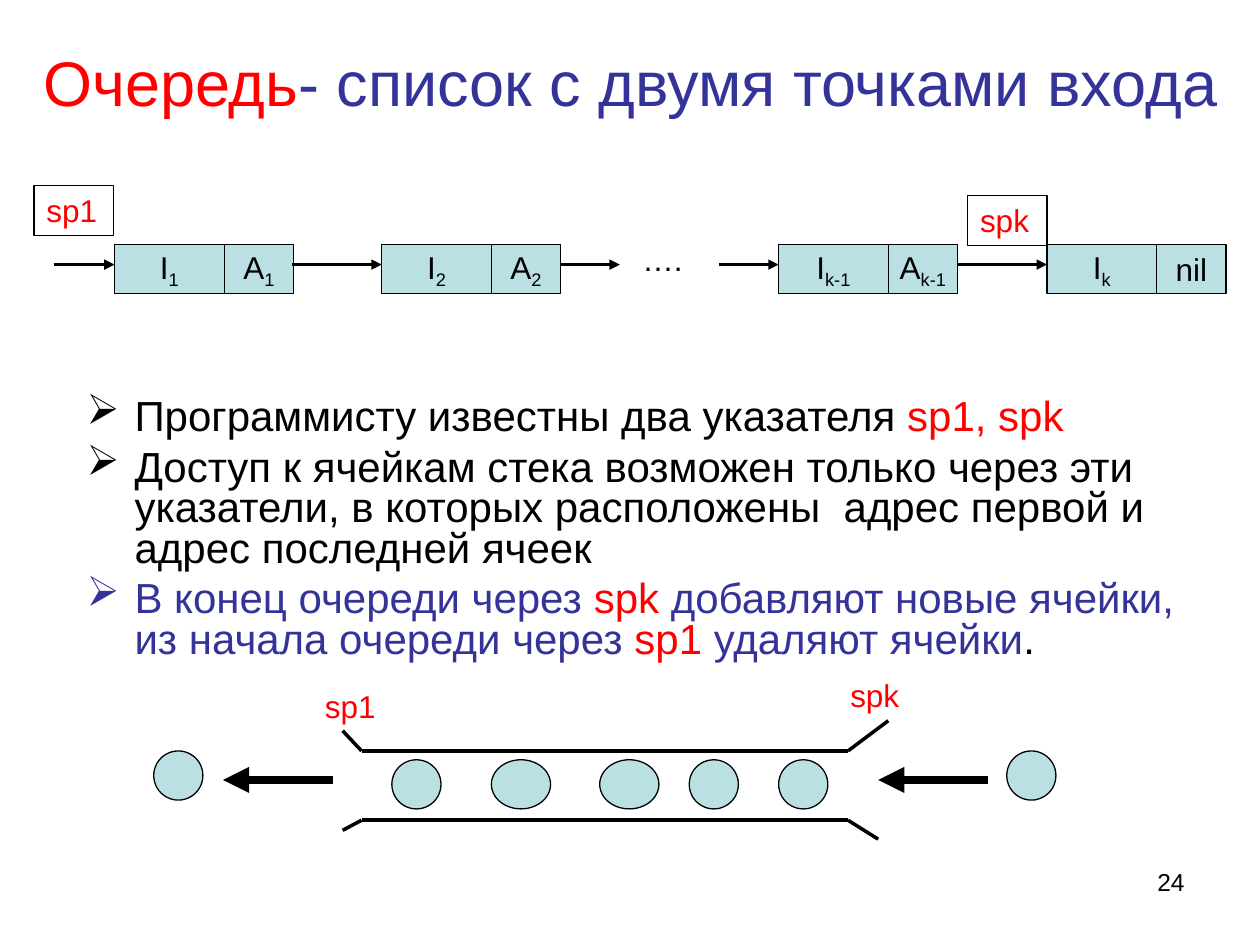
from lxml import etree
from pptx import Presentation
from pptx.dml.color import RGBColor
from pptx.enum.shapes import MSO_CONNECTOR, MSO_SHAPE
from pptx.enum.text import MSO_ANCHOR, PP_ALIGN
from pptx.oxml.ns import qn
from pptx.util import Inches, Pt

STRAIGHT = MSO_CONNECTOR.STRAIGHT
RECT, OVAL = MSO_SHAPE.RECTANGLE, MSO_SHAPE.OVAL
TOP, MIDDLE = MSO_ANCHOR.TOP, MSO_ANCHOR.MIDDLE
LEFT, CENTER, RIGHT = PP_ALIGN.LEFT, PP_ALIGN.CENTER, PP_ALIGN.RIGHT

FONT = "Arial"
BLACK, RED, BLUE, AQUA = "000000", "FF0000", "333399", "BBE0E3"


def rgb(color):
    return RGBColor.from_string(color)


def add_run(paragraph, text, size, color=BLACK, subscript=False):
    run = paragraph.add_run()
    run.text = text
    run.font.name = FONT
    run.font.size = Pt(size)
    run.font.color.rgb = rgb(color)
    if subscript:
        run._r.get_or_add_rPr().set("baseline", "-25000")


def add_text(slide, box, runs, size, align=LEFT, anchor=TOP):
    frame = slide.shapes.add_textbox(*map(Inches, box)).text_frame
    frame.word_wrap = True
    frame.vertical_anchor = anchor
    paragraph = frame.paragraphs[0]
    paragraph.alignment = align
    for text, color in runs:
        add_run(paragraph, text, size, color)


def add_outlined(slide, kind, box, fill=None):
    shape = slide.shapes.add_shape(kind, *map(Inches, box))
    shape.shadow.inherit = False
    if fill:
        shape.fill.solid()
        shape.fill.fore_color.rgb = rgb(fill)
    else:
        shape.fill.background()
    shape.line.color.rgb = rgb(BLACK)
    shape.line.width = Pt(0.75)
    return shape


def add_line(slide, start, end, width, arrow=False):
    line = slide.shapes.add_connector(STRAIGHT, *map(Inches, start + end))
    line.line.color.rgb = rgb(BLACK)
    line.line.width = Pt(width)
    properties = line._element.spPr
    if arrow:
        head = etree.SubElement(properties.find(qn("a:ln")), qn("a:tailEnd"))
        head.set("type", "triangle")
    etree.SubElement(properties, qn("a:effectLst"))


def add_cell(slide, box, runs):
    cell = add_outlined(slide, RECT, box, AQUA)
    frame = cell.text_frame
    frame.word_wrap = False
    frame.vertical_anchor = MIDDLE
    paragraph = frame.paragraphs[0]
    paragraph.alignment = CENTER
    for index, text in enumerate(runs):
        add_run(paragraph, text, 18, subscript=index > 0)


def add_pointer(slide, left, top, name, framed=False):
    box = (left, top, 0.63, 0.4)
    if framed:
        add_outlined(slide, RECT, box)
    add_text(slide, box, [(name, RED)], 18)


def add_linked_list(slide, left, top):
    info_width, link_width, height = 0.87, 0.55, 0.39
    arrow_y = top + 0.16
    nodes = [
        (0.48, 0.48, ("I", "1"), ("A", "1")),
        (2.6, 0.71, ("I", "2"), ("A", "2")),
        (5.75, 0.47, ("I", "k-1"), ("A", "k-1")),
        (7.88, 0.71, ("I", "k"), ("nil",)),
    ]
    for offset, arrow, info, link in nodes:
        x = left + offset
        add_line(slide, (x - arrow, arrow_y), (x, arrow_y), 1.5, True)
        add_cell(slide, (x, top, info_width, height), info)
        add_cell(slide, (x + info_width, top, link_width, height), link)

    # Gap in the chain
    add_line(slide, (left + 4.02, arrow_y), (left + 4.49, arrow_y), 1.5, True)
    add_text(slide, (left + 4.57, top - 0.08, 0.71, 0.4), [("….", BLACK)], 18)

    # Entry points
    add_pointer(slide, left - 0.16, top - 0.47, "sp1", framed=True)
    add_pointer(slide, left + 7.25, top - 0.39, "spk", framed=True)


def add_bullets(slide, box):
    items = [
        [("Программисту известны два указателя ", BLACK), ("sp1, spk", RED)],
        [("Доступ к ячейкам стека возможен только через эти указатели, "
          "в которых расположены  адрес первой и адрес последней ячеек", BLACK)],
        [("В конец очереди через ", BLUE), ("spk ", RED),
         ("добавляют новые ячейки, из начала очереди через ", BLUE),
         ("sp1", RED), (" удаляют ячейки", BLUE), (".", BLACK)],
    ]
    frame = slide.shapes.add_textbox(*map(Inches, box)).text_frame
    frame.word_wrap = True
    for index, runs in enumerate(items):
        paragraph = frame.add_paragraph() if index else frame.paragraphs[0]
        properties = paragraph._p.get_or_add_pPr()
        properties.set("marL", str(Inches(0.38)))
        properties.set("indent", str(Inches(-0.38)))
        bullet_color = etree.SubElement(properties, qn("a:buClr"))
        etree.SubElement(bullet_color, qn("a:srgbClr")).set("val", runs[0][1])
        etree.SubElement(properties, qn("a:buChar")).set("char", "➢")
        paragraph.line_spacing = 0.8
        if index:
            paragraph.space_before = Pt(6)
        for text, color in runs:
            add_run(paragraph, text, 24, color)


def add_queue(slide, left, top, width, height):
    right, bottom = left + width, top + height
    # Channel walls with flared ends
    walls = [
        (top, (left - 0.15, top - 0.16), (right + 0.32, top - 0.24)),
        (bottom, (left - 0.15, bottom + 0.08), (right + 0.24, bottom + 0.15)),
    ]
    for y, exit_end, entry_end in walls:
        add_line(slide, (left, y), (right, y), 2)
        add_line(slide, (left, y), exit_end, 2)
        add_line(slide, (right, y), entry_end, 2)

    # Elements inside, then one leaving and one arriving
    size = 0.39
    for offset, item_width in [(0.24, size), (1.03, 0.47), (1.89, 0.47),
                               (2.6, size), (3.31, size)]:
        add_outlined(slide, OVAL, (left + offset, top + 0.07, item_width, size), AQUA)
    for offset in (-1.65, 5.12):
        add_outlined(slide, OVAL, (left + offset, top, size, size), AQUA)

    # Direction of movement
    arrow_y = top + 0.23
    for tip in (left - 1.1, right + 0.24):
        add_line(slide, (tip + 0.87, arrow_y), (tip, arrow_y), 5, True)

    add_pointer(slide, left - 0.39, top - 0.56, "sp1")
    add_pointer(slide, right - 0.08, top - 0.64, "spk")


def main():
    deck = Presentation()
    deck.slide_width, deck.slide_height = Inches(10), Inches(7.5)
    slide = deck.slides.add_slide(deck.slide_layouts[6])

    # Title
    add_text(slide, (0.2, 0.3, 9.61, 0.69),
             [("Очередь", RED), ("- список с двумя точками входа", BLUE)],
             36, CENTER, MIDDLE)
    add_bullets(slide, (0.59, 3.12, 9, 2.44))
    add_linked_list(slide, 0.43, 1.94)
    add_queue(slide, 2.87, 5.96, 3.86, 0.55)
    # Page number
    add_text(slide, (7.17, 6.83, 2.33, 0.52), [("24", BLACK)], 14, RIGHT)

    deck.save("out.pptx")


if __name__ == "__main__":
    main()
